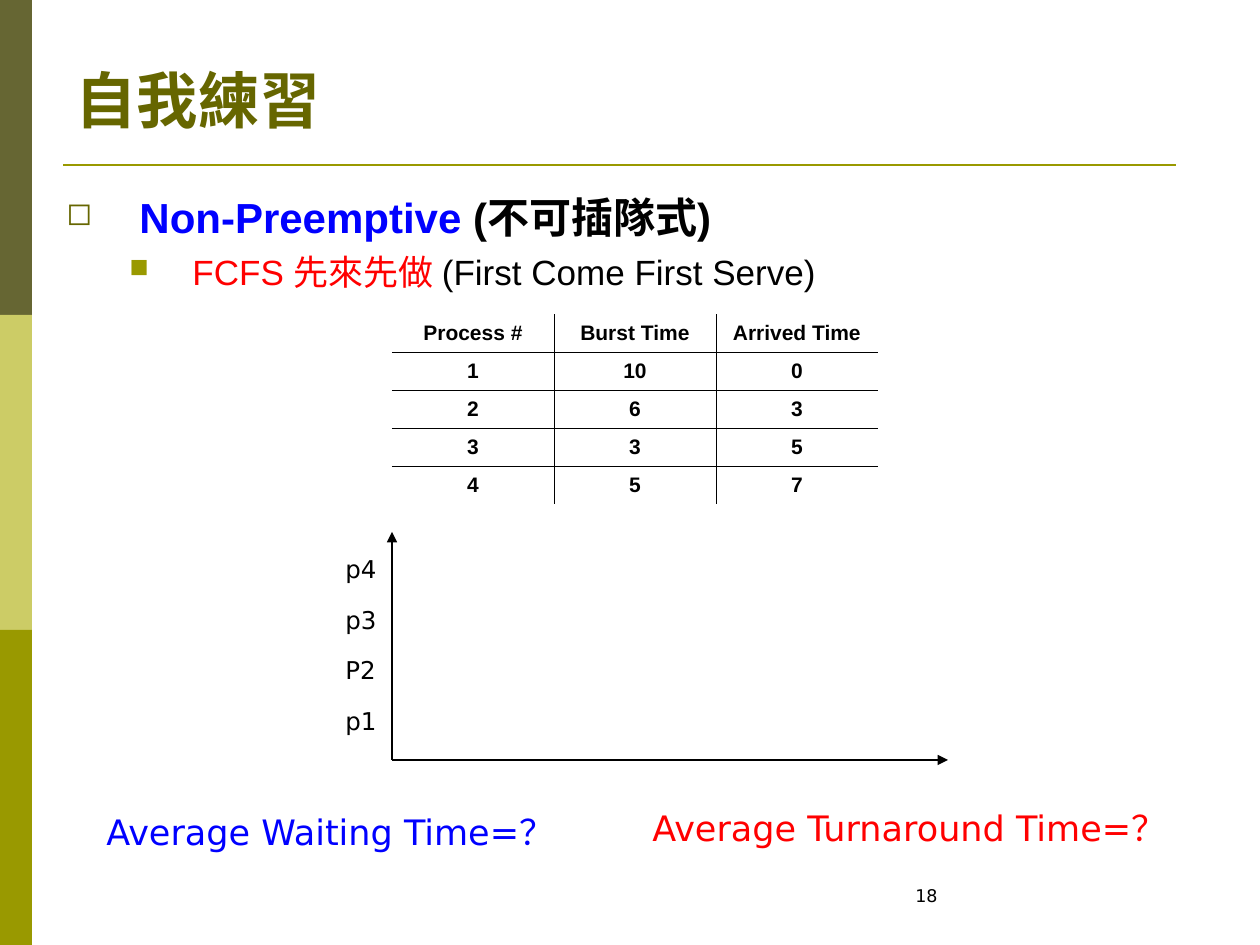
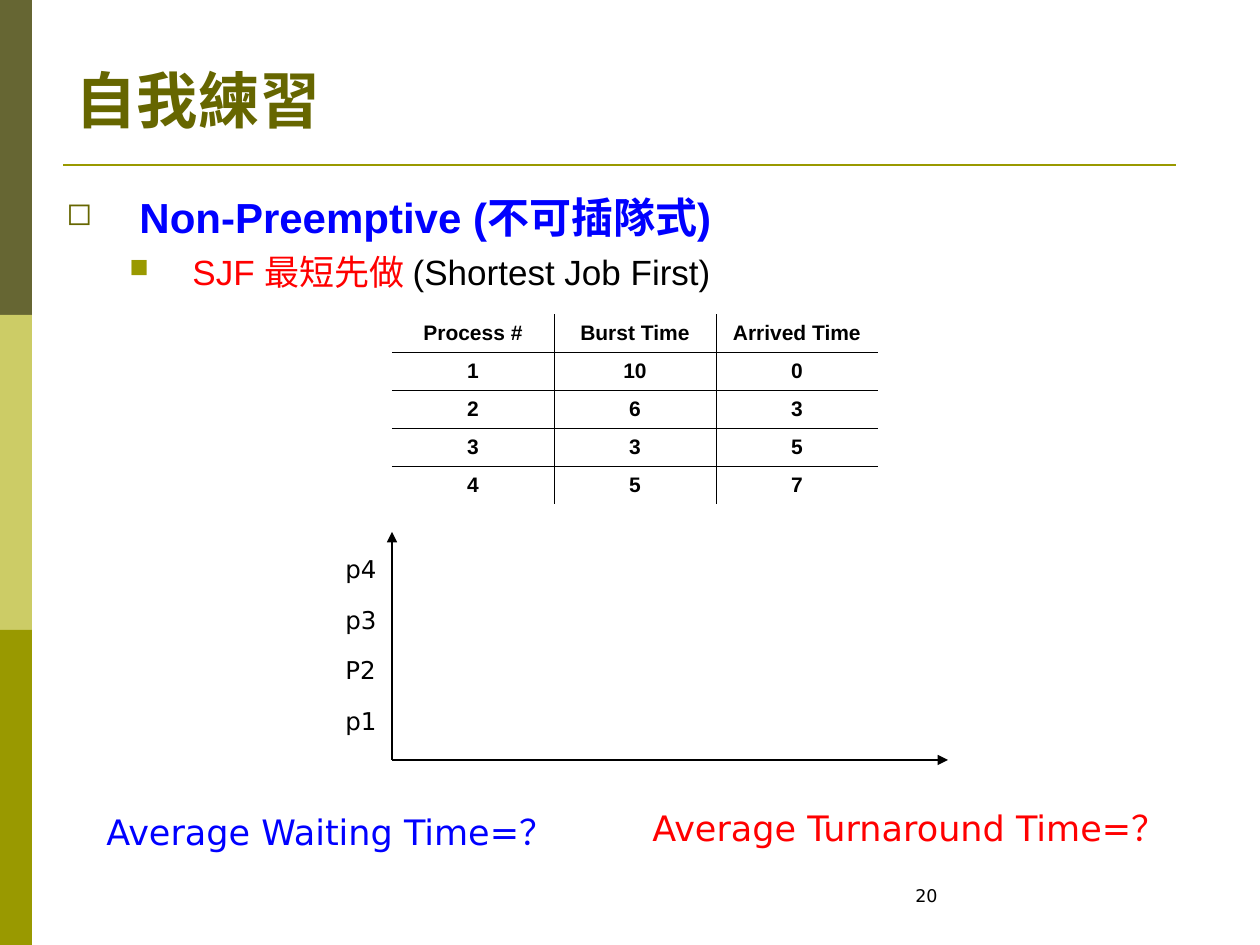
from lxml import etree
from pptx import Presentation
from pptx.dml.color import RGBColor
from pptx.enum.shapes import MSO_CONNECTOR, MSO_SHAPE
from pptx.enum.text import MSO_ANCHOR, MSO_AUTO_SIZE, PP_ALIGN
from pptx.oxml.ns import qn
from pptx.util import Emu, Pt

RECT = MSO_SHAPE.RECTANGLE
STRAIGHT = MSO_CONNECTOR.STRAIGHT
BOTTOM, MIDDLE = MSO_ANCHOR.BOTTOM, MSO_ANCHOR.MIDDLE
LEFT, CENTER = PP_ALIGN.LEFT, PP_ALIGN.CENTER
NO_FIT, GROW = MSO_AUTO_SIZE.NONE, MSO_AUTO_SIZE.SHAPE_TO_FIT_TEXT

EMU_PER_PX = 914400 / 126
WIDTH, HEIGHT = 1260, 945
TITLE_ONLY = 5

HEAD_FONT, LABEL_FONT = "Arial", "DejaVu Sans"
BLACK, BLUE, RED = "000000", "0000FF", "FF0000"
OLIVE, TITLE_OLIVE = "999900", "666600"
BANDS = ["666633", "CCCC66", OLIVE]

PROCESSES = [
    ["Process #", "Burst Time", "Arrived Time"],
    ["1", "10", "0"],
    ["2", "6", "3"],
    ["3", "3", "5"],
    ["4", "5", "7"],
]
LABELS = ["p4", "p3", "P2", "p1"]

EXERCISES = [
    {
        "number": "18",
        "topic": [("Non-Preemptive", BLUE), (" (不可插隊式)", BLACK)],
        "method": [("FCFS 先來先做 ", RED), ("(First Come First Serve)", BLACK)],
    },
    {
        "number": "20",
        "topic": [("Non-Preemptive (不可插隊式)", BLUE)],
        "method": [("SJF 最短先做 ", RED), ("(Shortest Job First)", BLACK)],
    },
]


def px(n):
    """Turn pixels into EMU."""
    return Emu(round(n * EMU_PER_PX))


def rgb(color):
    """Turn a hex string into a colour."""
    return RGBColor.from_string(color)


def sub(parent, tag, **attrs):
    """Append a DrawingML child element."""
    return etree.SubElement(parent, qn(tag), attrs)


def style(r, size, color, font=LABEL_FONT, bold=False):
    """Format one run."""
    r.font.name = font
    r.font.size = Pt(size)
    r.font.bold = bold
    r.font.color.rgb = rgb(color)


def add_band(slide, top, height, color):
    """Draw one block of the left margin band."""
    sp = slide.shapes.add_shape(RECT, 0, px(top), px(32), px(height))
    sp.shadow.inherit = False
    sp.fill.solid()
    sp.fill.fore_color.rgb = rgb(color)
    sp.line.fill.background()


def add_line(slide, start, end, color, width, arrow=False):
    """Draw a straight line, with an arrowhead at its end if wanted."""
    cx = slide.shapes.add_connector(STRAIGHT, *map(px, start + end))
    cx.line.color.rgb = rgb(color)
    cx.line.width = Pt(width)
    if arrow:
        sub(cx.line._get_or_add_ln(), "a:tailEnd", type="triangle")
    sub(cx.element.spPr, "a:effectLst")


def add_frame(slide, title):
    """Draw the margin band, the title and its rule."""
    height = HEIGHT // len(BANDS)
    for i, color in enumerate(BANDS):
        add_band(slide, i * height, height, color)
    add_line(slide, (63, 165), (1176, 165), OLIVE, 1.5)
    sp = slide.shapes.title
    sp.left, sp.top, sp.width, sp.height = map(px, (63, 55, 1153, 87))
    tf = sp.text_frame
    tf.text = title
    tf.auto_size = NO_FIT
    tf.vertical_anchor = BOTTOM
    p = tf.paragraphs[0]
    p.alignment = LEFT
    style(p.runs[0], 35, TITLE_OLIVE, HEAD_FONT, True)


def add_box(slide, box, fit=GROW):
    """Add a wrapping text box and return its text frame."""
    tf = slide.shapes.add_textbox(*map(px, box)).text_frame
    tf.word_wrap = True
    tf.auto_size = fit
    return tf


def add_text(slide, box, lines, size, color, before=0, spacing=None):
    """Add a text box with one paragraph for each line."""
    tf = add_box(slide, box)
    tf.text = "\n".join(lines)
    for p in tf.paragraphs:
        p.space_before = Pt(before)
        p.line_spacing = spacing
        style(p.runs[0], size, color)


def set_bullet(p, char, color, margin, hanging):
    """Give a paragraph a bullet and a hanging indent."""
    pPr = p._p.get_or_add_pPr()
    pPr.set("marL", str(px(margin)))
    pPr.set("indent", str(-px(hanging)))
    sub(sub(pPr, "a:buClr"), "a:srgbClr", val=color)
    sub(pPr, "a:buSzPct", val="75000")
    sub(pPr, "a:buChar", char=char)


def add_runs(p, parts, size, bold):
    """Fill a paragraph with coloured runs."""
    for text, color in parts:
        r = p.add_run()
        r.text = text
        style(r, size, color, HEAD_FONT, bold)


def add_outline(slide, topic, method):
    """Add the scheduling topic and the method below it."""
    tf = add_box(slide, (54, 185, 1152, 674), NO_FIT)
    p = tf.paragraphs[0]
    p.space_before = Pt(6)
    set_bullet(p, "◻", TITLE_OLIVE, 73, 73)
    add_runs(p, topic, 24, True)
    p = tf.add_paragraph()
    p.level = 1
    p.space_before = Pt(5)
    set_bullet(p, "■", OLIVE, 126, 63)
    add_runs(p, method, 20, False)


def set_border(cell, edge, visible):
    """Show or hide one edge of a cell."""
    ln = sub(cell._tc.get_or_add_tcPr(), f"a:ln{edge}", w=str(Pt(0.45)))
    if visible:
        sub(sub(ln, "a:solidFill"), "a:srgbClr", val=BLACK)
    else:
        sub(ln, "a:noFill")


def add_grid(slide, rows, left, top, col_width, row_height):
    """Add a table that has inner rules only."""
    n_rows, n_cols = len(rows), len(rows[0])
    size = (col_width * n_cols, row_height * n_rows)
    table = slide.shapes.add_table(n_rows, n_cols, *map(px, (left, top) + size)).table
    table.first_row = table.horz_banding = False
    for i, row in enumerate(rows):
        for j, text in enumerate(row):
            cell = table.cell(i, j)
            cell.text = text
            cell.vertical_anchor = MIDDLE
            set_border(cell, "L", j > 0)
            set_border(cell, "R", j < n_cols - 1)
            set_border(cell, "T", i > 0)
            set_border(cell, "B", i < n_rows - 1)
            cell.fill.background()
            p = cell.text_frame.paragraphs[0]
            p.alignment = CENTER
            p.space_before = Pt(3)
            style(p.runs[0], 12, BLACK, HEAD_FONT, True)


def add_gantt_axes(slide):
    """Draw the empty Gantt axes with the process labels."""
    origin = (392, 760)
    for tip in ((392, 532), (948, 760)):
        add_line(slide, origin, tip, BLACK, 0.75, arrow=True)
    add_text(slide, (333, 542, 72, 200), LABELS, 14, BLACK, 8.8, 1.2)


def add_exercise(prs, number, topic, method):
    """Build one exercise slide."""
    slide = prs.slides.add_slide(prs.slide_layouts[TITLE_ONLY])
    add_frame(slide, "自我練習")
    add_outline(slide, topic, method)
    add_grid(slide, PROCESSES, 392, 314, 162, 38)
    add_gantt_axes(slide)
    add_text(slide, (94, 804, 804, 55), ["Average Waiting Time=？"], 20, BLUE, 12.5)
    add_text(slide, (640, 800, 556, 55), ["Average Turnaround Time=？"], 20, RED, 12.5)
    add_text(slide, (903, 879, 294, 44), [number], 10, BLACK)


def main():
    """Build and save the presentation."""
    prs = Presentation()
    prs.slide_width, prs.slide_height = px(WIDTH), px(HEIGHT)
    for exercise in EXERCISES:
        add_exercise(prs, **exercise)
    prs.save("out.pptx")


if __name__ == "__main__":
    main()
